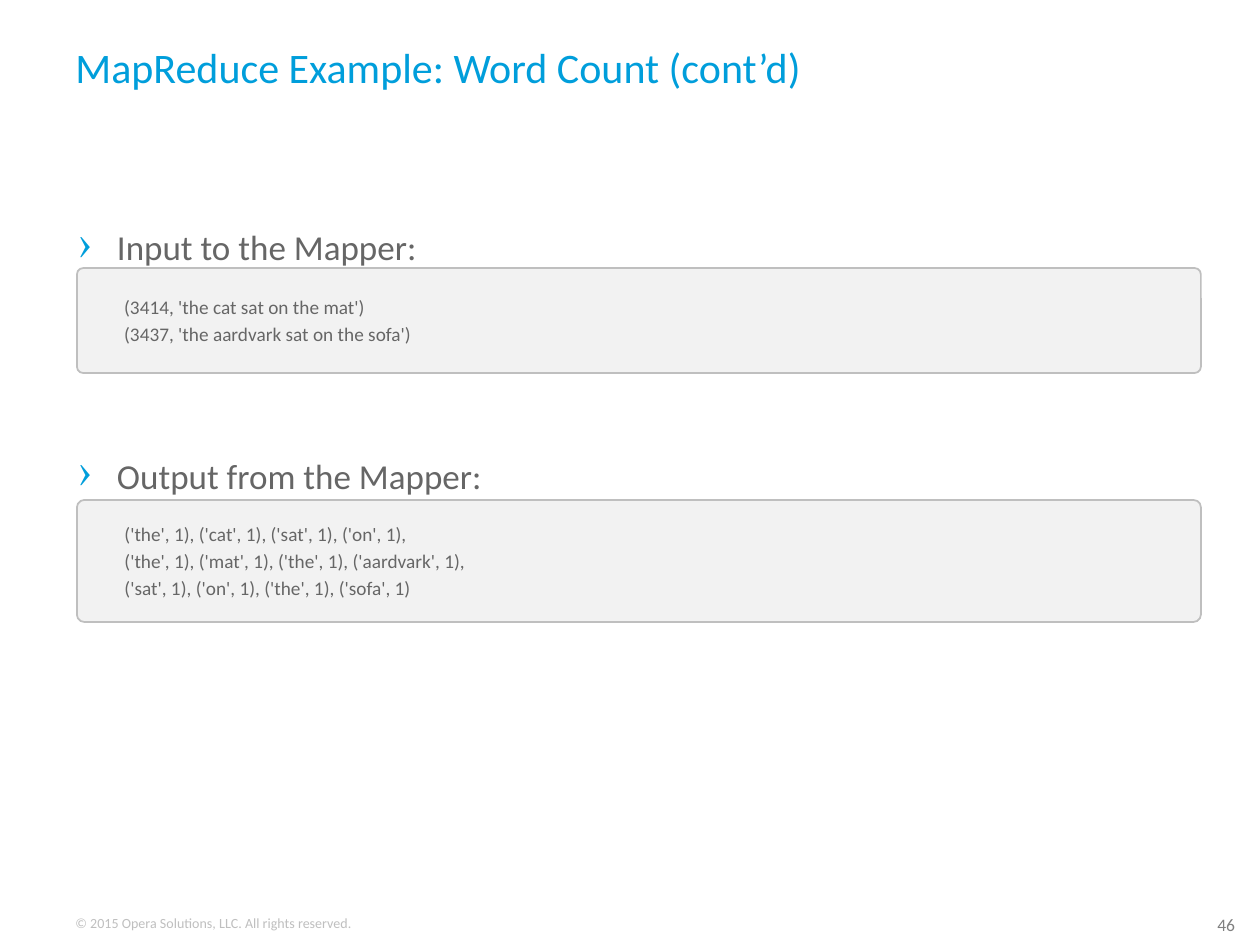
from pptx import Presentation, util as u
from pptx.dml.color import RGBColor
from pptx.enum import shapes, text
from pptx.oxml import parse_xml
from pptx.oxml.ns import nsdecls

BLUE = RGBColor(0x00, 0x9E, 0xDB)
BODY_GREY = RGBColor(0x66, 0x66, 0x66)
PAGE_GREY = RGBColor(0x80, 0x80, 0x80)
PALE_GREY = RGBColor(0xBF, 0xBF, 0xBF)
PANEL_GREY = RGBColor(0xF2, 0xF2, 0xF2)

SLIDE_WIDTH, SLIDE_HEIGHT = 1260, 945
EMU_PER_PX = 914400 / 126


def px(length):
    return u.Emu(round(length * EMU_PER_PX))


def apply_format(target, values):
    for name, value in values.items():
        setattr(target, name, value)


def write(paragraph, wording, size, color):
    paragraph.text = wording
    apply_format(paragraph.font, {"name": "Calibri", "size": u.Pt(size)})
    paragraph.font.color.rgb = color


def add_label(slide, box, wording, size, color, **frame_format):
    label = slide.shapes.add_textbox(*map(px, box)).text_frame
    apply_format(label, {"word_wrap": True, **frame_format})
    write(label.paragraphs[0], wording, size, color)


def add_bullet(paragraph, indent):
    properties = paragraph._p.get_or_add_pPr()
    properties.set("marL", str(px(indent)))
    properties.set("indent", str(-px(indent)))
    for element in (f'<a:buClr {nsdecls("a")}><a:srgbClr val="{BLUE}"/></a:buClr>',
                    f'<a:buSzPct {nsdecls("a")} val="125000"/>',
                    f'<a:buChar {nsdecls("a")} char="›"/>'):
        properties.append(parse_xml(element))


def add_headings(slide, box, headings, gap):
    frame = slide.shapes.add_textbox(*map(px, box)).text_frame
    apply_format(frame, {"word_wrap": False, "margin_left": 0, "margin_top": 0,
                         "margin_right": 0, "margin_bottom": 0})
    for number, heading in enumerate(headings):
        paragraph = frame.add_paragraph() if number else frame.paragraphs[0]
        add_bullet(paragraph, 39)
        paragraph.line_spacing = 1.4
        if number:
            paragraph.space_before = u.Pt(gap)
        write(paragraph, heading, 20, BODY_GREY)


def add_code_panel(slide, box, lines):
    panel = slide.shapes.add_shape(
        shapes.MSO_SHAPE.ROUNDED_RECTANGLE, *map(px, box))
    panel.shadow.inherit = False
    panel.adjustments[0] = 0.06
    panel.fill.solid()
    panel.fill.fore_color.rgb = PANEL_GREY
    panel.line.color.rgb = PALE_GREY
    panel.line.width = u.Pt(1)
    frame = panel.text_frame
    frame.vertical_anchor = text.MSO_ANCHOR.MIDDLE
    for number, line in enumerate(lines):
        paragraph = frame.add_paragraph() if number else frame.paragraphs[0]
        paragraph._p.get_or_add_pPr().set("marL", str(px(33)))
        paragraph.alignment = text.PP_ALIGN.LEFT
        if number:
            paragraph.space_before = u.Pt(2)
        write(paragraph, line, 11, BODY_GREY)


def add_footer(slide, box):
    left, top, width, height = box
    page_width = 55
    add_label(slide, (left + width - page_width, top, page_width, height),
              "46", 10, PAGE_GREY)
    add_label(slide, (left + 63, top, 305, height),
              "© 2015 Opera Solutions, LLC. All rights reserved.",
              8, PALE_GREY, word_wrap=False)


def main():
    deck = Presentation()
    apply_format(deck, {"slide_width": px(SLIDE_WIDTH),
                        "slide_height": px(SLIDE_HEIGHT)})
    slide = deck.slides.add_slide(deck.slide_layouts[6])

    # Footer and title
    add_footer(slide, (0, 908, SLIDE_WIDTH, 34))
    add_label(slide, (63, 28, 987, 78), "MapReduce Example: Word Count (cont’d)",
              24, BLUE, vertical_anchor=text.MSO_ANCHOR.MIDDLE)

    # Mapper headings, each above its code panel
    add_headings(slide, (78, 209, 408, 291),
                 ["Input to the Mapper:", "Output from the Mapper:"], gap=97)
    add_code_panel(slide, (77, 500, 1124, 122), [
        "('the', 1), ('cat', 1), ('sat', 1), ('on', 1),",
        "('the', 1), ('mat', 1), ('the', 1), ('aardvark', 1),",
        "('sat', 1), ('on', 1), ('the', 1), ('sofa', 1)"])
    add_code_panel(slide, (77, 268, 1124, 105), [
        "(3414, 'the cat sat on the mat')",
        "(3437, 'the aardvark sat on the sofa')"])

    deck.save("out.pptx")


if __name__ == "__main__":
    main()
